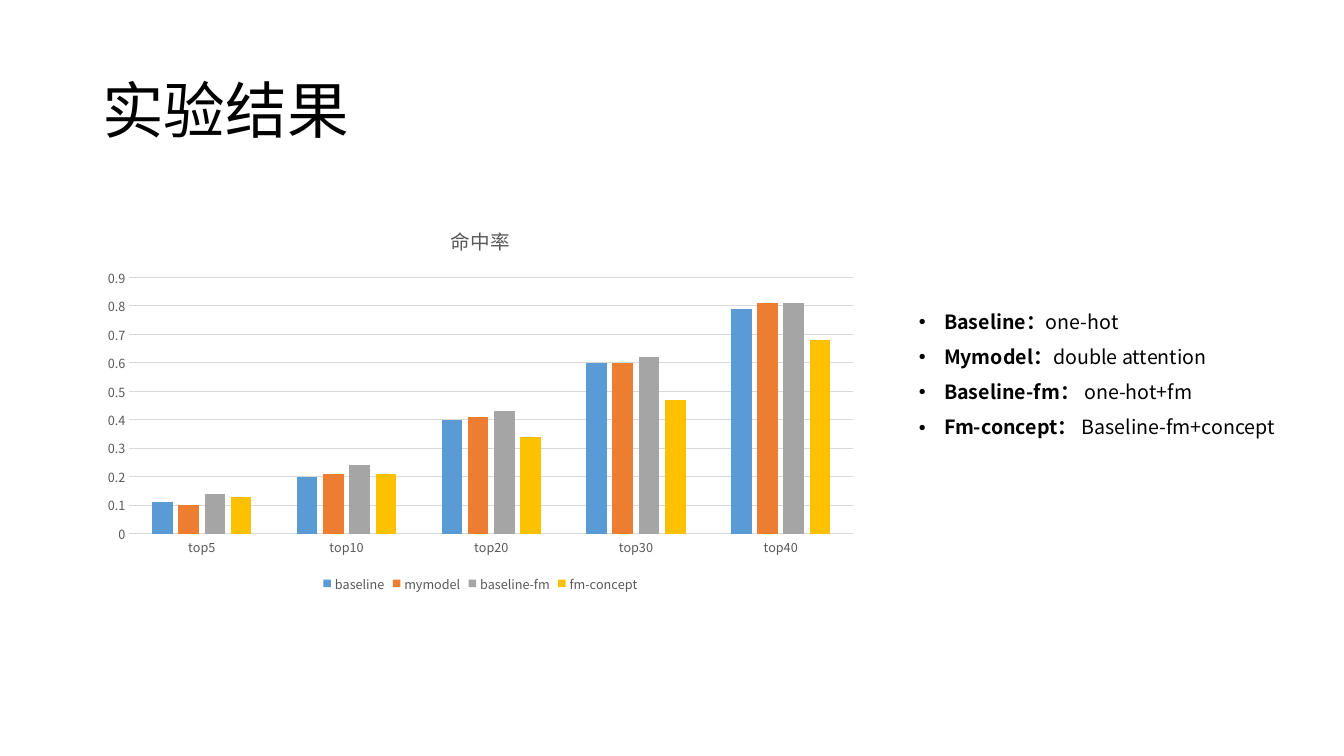
from dataclasses import dataclass
from typing import NamedTuple

from lxml import etree
from pptx import Presentation
from pptx import util as u
from pptx.chart import data as chart_data
from pptx.dml.color import RGBColor
from pptx.enum import chart as charts, text
from pptx.oxml import ns

SLIDE_WIDTH, SLIDE_HEIGHT = u.Inches(13.333), u.Inches(7.5)
COLUMNS, ROWS = 160, 90


@dataclass(frozen=True)
class Theme:
    font: str = "Noto Sans CJK SC"
    ink: str = "000000"
    muted: str = "595959"
    rule: str = "D9D9D9"
    title_size: float = 44
    body_size: float = 14
    chart_title_size: float = 14
    label_size: float = 9
    rule_width: float = 0.75
    line_spacing: float = 0.9
    bullet_gap: float = 10
    bullet_indent: float = 0.25


class Area(NamedTuple):
    column: float
    row: float
    columns: float
    rows: float

    def box(self) -> tuple[int, int, int, int]:
        """Left, top, width and height on the slide."""
        across, down = SLIDE_WIDTH / COLUMNS, SLIDE_HEIGHT / ROWS
        return (round(self.column * across), round(self.row * down),
                round(self.columns * across), round(self.rows * down))


class Model(NamedTuple):
    name: str
    color: str
    hit_rates: tuple[float, ...]


class Definition(NamedTuple):
    term: str
    meaning: str


THEME = Theme()
TITLE_AREA = Area(11, 4.8, 138, 17.4)
CHART_AREA = Area(11, 24.7, 92.4, 46.3)
DEFINITIONS_AREA = Area(108.2, 36.6, 49.8, 27.6)

CUTOFFS = ("top5", "top10", "top20", "top30", "top40")
MODELS = (
    Model("baseline", "5B9BD5", (0.11, 0.2, 0.4, 0.6, 0.79)),
    Model("mymodel", "ED7D31", (0.1, 0.21, 0.41, 0.6, 0.81)),
    Model("baseline-fm", "A5A5A5", (0.14, 0.24, 0.43, 0.62, 0.81)),
    Model("fm-concept", "FFC000", (0.13, 0.21, 0.34, 0.47, 0.68)),
)
DEFINITIONS = (
    Definition("Baseline：", "one-hot"),
    Definition("Mymodel：", "double attention"),
    Definition("Baseline-fm： ", "one-hot+fm"),
    Definition("Fm-concept： ", "Baseline-fm+concept"),
)


def style_font(font, size: float, color: str) -> None:
    font.name = THEME.font
    font.size = u.Pt(size)
    font.bold = False
    font.color.rgb = RGBColor.from_string(color)


def use_east_asian_font(element) -> None:
    """Give every Latin typeface below the element the same East Asian one."""
    for latin in list(element.iter(ns.qn("a:latin"))):
        east_asian = etree.Element(ns.qn("a:ea"), typeface=THEME.font)
        latin.addnext(east_asian)


def style_line(line) -> None:
    line.color.rgb = RGBColor.from_string(THEME.rule)
    line.width = u.Pt(THEME.rule_width)


def style_paragraph(paragraph, size: float) -> None:
    paragraph.line_spacing = THEME.line_spacing
    style_font(paragraph.font, size, THEME.ink)


def add_bullet(paragraph) -> None:
    paragraph.space_before = u.Pt(THEME.bullet_gap)
    properties = paragraph._p.get_or_add_pPr()
    indent = u.Inches(THEME.bullet_indent)
    properties.set("marL", str(indent))
    properties.set("indent", str(-indent))
    defaults = properties.find(ns.qn("a:defRPr"))
    defaults.addprevious(etree.Element(ns.qn("a:buFont"), typeface="Arial"))
    defaults.addprevious(etree.Element(ns.qn("a:buChar"), char="•"))


def add_text_frame(slide, area: Area):
    frame = slide.shapes.add_textbox(*area.box()).text_frame
    frame.word_wrap = True
    return frame


def add_title(slide, wording: str) -> None:
    frame = add_text_frame(slide, TITLE_AREA)
    frame.vertical_anchor = text.MSO_ANCHOR.MIDDLE
    paragraph = frame.paragraphs[0]
    paragraph.add_run().text = wording
    style_paragraph(paragraph, THEME.title_size)
    use_east_asian_font(paragraph._p)


def add_definitions(slide, definitions: tuple[Definition, ...]) -> None:
    frame = add_text_frame(slide, DEFINITIONS_AREA)
    for index, definition in enumerate(definitions):
        paragraph = frame.add_paragraph() if index else frame.paragraphs[0]
        for wording, bold in zip(definition, (True, False)):
            run = paragraph.add_run()
            run.text = wording
            run.font.bold = bold
        style_paragraph(paragraph, THEME.body_size)
        add_bullet(paragraph)
        use_east_asian_font(paragraph._p)


def style_axes(chart) -> None:
    for axis in (chart.category_axis, chart.value_axis):
        axis.major_tick_mark = axis.minor_tick_mark = charts.XL_TICK_MARK.NONE
        style_font(axis.tick_labels.font, THEME.label_size, THEME.muted)
    style_line(chart.category_axis.format.line)
    values = chart.value_axis
    values.minimum_scale, values.maximum_scale, values.major_unit = 0, 0.9, 0.1
    values.tick_labels.number_format = "General"
    values.tick_labels.number_format_is_linked = False
    values.format.line.fill.background()
    style_line(values.major_gridlines.format.line)


def add_hit_rate_chart(slide, title: str) -> None:
    data = chart_data.CategoryChartData()
    data.categories = CUTOFFS
    for model in MODELS:
        data.add_series(model.name, model.hit_rates)
    chart = slide.shapes.add_chart(
        charts.XL_CHART_TYPE.COLUMN_CLUSTERED, *CHART_AREA.box(), data).chart
    style_font(chart.font, THEME.label_size, THEME.muted)

    chart.has_title = True
    paragraph = chart.chart_title.text_frame.paragraphs[0]
    paragraph.add_run().text = title
    style_font(paragraph.font, THEME.chart_title_size, THEME.muted)
    chart.chart_title.include_in_layout = False

    chart.has_legend = True
    chart.legend.position = charts.XL_LEGEND_POSITION.BOTTOM
    chart.legend.include_in_layout = False
    style_font(chart.legend.font, THEME.label_size, THEME.muted)

    style_axes(chart)
    plot = chart.plots[0]
    plot.gap_width, plot.overlap = 219, -27
    plot.vary_by_categories = False
    for series, model in zip(plot.series, MODELS):
        series.format.fill.solid()
        series.format.fill.fore_color.rgb = RGBColor.from_string(model.color)
    use_east_asian_font(chart._chartSpace)


def main() -> None:
    presentation = Presentation()
    presentation.slide_width, presentation.slide_height = SLIDE_WIDTH, SLIDE_HEIGHT
    slide = presentation.slides.add_slide(presentation.slide_layouts[6])
    add_title(slide, "实验结果")
    add_definitions(slide, DEFINITIONS)
    add_hit_rate_chart(slide, "命中率")
    presentation.save("out.pptx")


if __name__ == "__main__":
    main()
